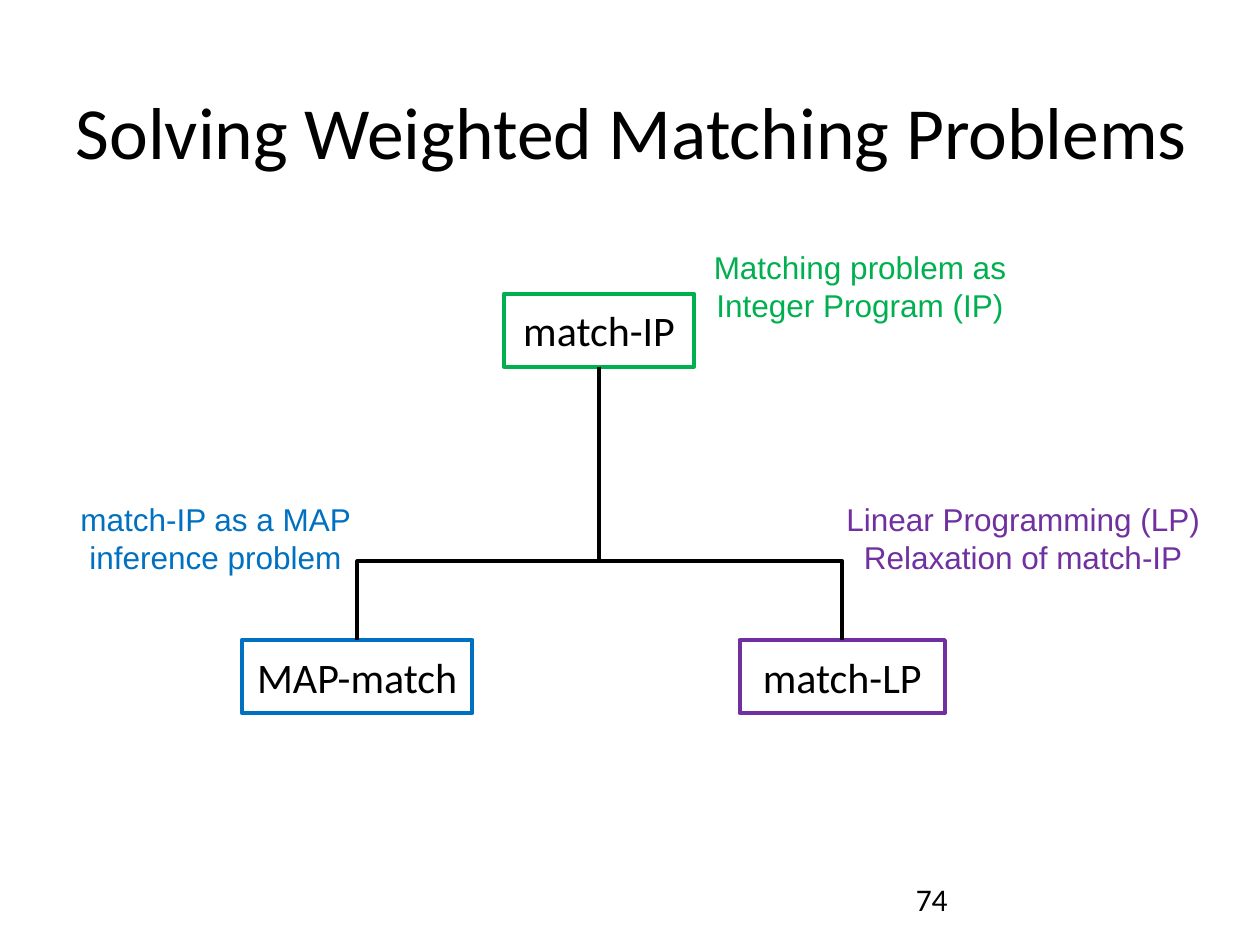
from dataclasses import dataclass

from lxml.etree import SubElement
from pptx import Presentation
from pptx.dml.color import RGBColor
from pptx.enum.shapes import MSO_CONNECTOR, MSO_SHAPE
from pptx.enum.text import MSO_ANCHOR, MSO_AUTO_SIZE, PP_ALIGN
from pptx.oxml.ns import qn
from pptx.util import Inches, Pt

COLORS = {
    "black": "000000",
    "white": "FFFFFF",
    "green": "00B050",
    "purple": "7030A0",
    "blue": "0070C0",
}
LINE_WIDTH = Pt(2.25)
NODE_HEIGHT = 0.58
LABEL_HEIGHT = 0.71
BEND = 0.712


@dataclass(frozen=True)
class Node:
    text: str
    left: float
    top: float
    width: float
    color: str

    @property
    def center(self) -> float:
        return self.left + self.width / 2


@dataclass(frozen=True)
class Label:
    text: str
    left: float
    top: float
    width: float
    color: str


ROOT = Node("match-IP", 4, 2.33, 1.51, "green")
CHILDREN = [
    Node("match-LP", 5.87, 5.08, 1.63, "purple"),
    Node("MAP-match", 1.92, 5.08, 1.83, "blue"),
]
LABELS = [
    Label("Matching problem as Integer Program (IP)", 5.5, 1.92, 2.65, "green"),
    Label("Linear Programming (LP) Relaxation of match-IP", 6.58, 3.92, 3.08, "purple"),
    Label("match-IP as a MAP inference problem", 0.42, 3.92, 2.58, "blue"),
]


def rgb(name: str) -> RGBColor:
    return RGBColor.from_string(COLORS[name])


def write(shape, text: str, size: float, font: str, color: str,
          align=PP_ALIGN.LEFT, anchor=MSO_ANCHOR.TOP) -> None:
    frame = shape.text_frame
    frame.word_wrap = True
    frame.auto_size = MSO_AUTO_SIZE.NONE
    frame.vertical_anchor = anchor
    para = frame.paragraphs[0]
    para.alignment = align
    span = para.add_run()
    span.text = text
    span.font.size = Pt(size)
    span.font.name = font
    span.font.color.rgb = rgb(color)


def add_title(page, text: str) -> None:
    title = page.shapes.title
    title.left, title.top = Inches(0.5), Inches(0.58)
    title.width, title.height = Inches(9.17), Inches(0.91)
    write(title, text, 42, "Calibri", "black", anchor=MSO_ANCHOR.MIDDLE)


def add_node(page, node: Node) -> None:
    box = page.shapes.add_shape(
        MSO_SHAPE.RECTANGLE, Inches(node.left), Inches(node.top),
        Inches(node.width), Inches(NODE_HEIGHT))
    box.shadow.inherit = False
    box.fill.solid()
    box.fill.fore_color.rgb = rgb("white")
    box.line.color.rgb = rgb(node.color)
    box.line.width = LINE_WIDTH
    write(box, node.text, 24, "Calibri", "black", PP_ALIGN.CENTER, MSO_ANCHOR.MIDDLE)


def add_branch(page, parent: Node, child: Node) -> None:
    start = parent.top + NODE_HEIGHT
    drop = child.top - start
    shift = child.center - parent.center
    middle_x = (parent.center + child.center) / 2
    middle_y = (start + child.top) / 2
    goes_right = shift > 0
    reach = -drop / 2 if goes_right else drop / 2
    rise = abs(shift) / 2
    branch = page.shapes.add_connector(
        MSO_CONNECTOR.ELBOW,
        Inches(middle_x - reach), Inches(middle_y - rise),
        Inches(middle_x + reach), Inches(middle_y + rise))
    branch.line.color.rgb = rgb("black")
    branch.line.width = LINE_WIDTH
    properties = branch._element.spPr
    SubElement(properties, qn("a:effectLst"))
    turn = 270 if goes_right else 90
    properties.find(qn("a:xfrm")).set("rot", str(turn * 60000))
    adjustments = properties.find(qn("a:prstGeom")).find(qn("a:avLst"))
    SubElement(adjustments, qn("a:gd"), name="adj1", fmla=f"val {round(BEND * 100000)}")


def add_label(page, label: Label) -> None:
    box = page.shapes.add_textbox(
        Inches(label.left), Inches(label.top), Inches(label.width), Inches(LABEL_HEIGHT))
    write(box, label.text, 18, "Arial", label.color, PP_ALIGN.CENTER)


def add_page_number(page, number: str) -> None:
    box = page.shapes.add_textbox(Inches(7.17), Inches(6.83), Inches(2.33), Inches(0.5))
    write(box, number, 18, "Calibri", "black", anchor=MSO_ANCHOR.BOTTOM)


def main() -> None:
    deck = Presentation()
    deck.slide_width, deck.slide_height = Inches(10), Inches(7.5)
    page = deck.slides.add_slide(deck.slide_layouts[5])
    add_page_number(page, "74")
    add_title(page, "Solving Weighted Matching Problems")
    for node in [ROOT, *CHILDREN]:
        add_node(page, node)
    for child in CHILDREN:
        add_branch(page, ROOT, child)
    for label in LABELS:
        add_label(page, label)
    deck.save("out.pptx")


if __name__ == "__main__":
    main()
